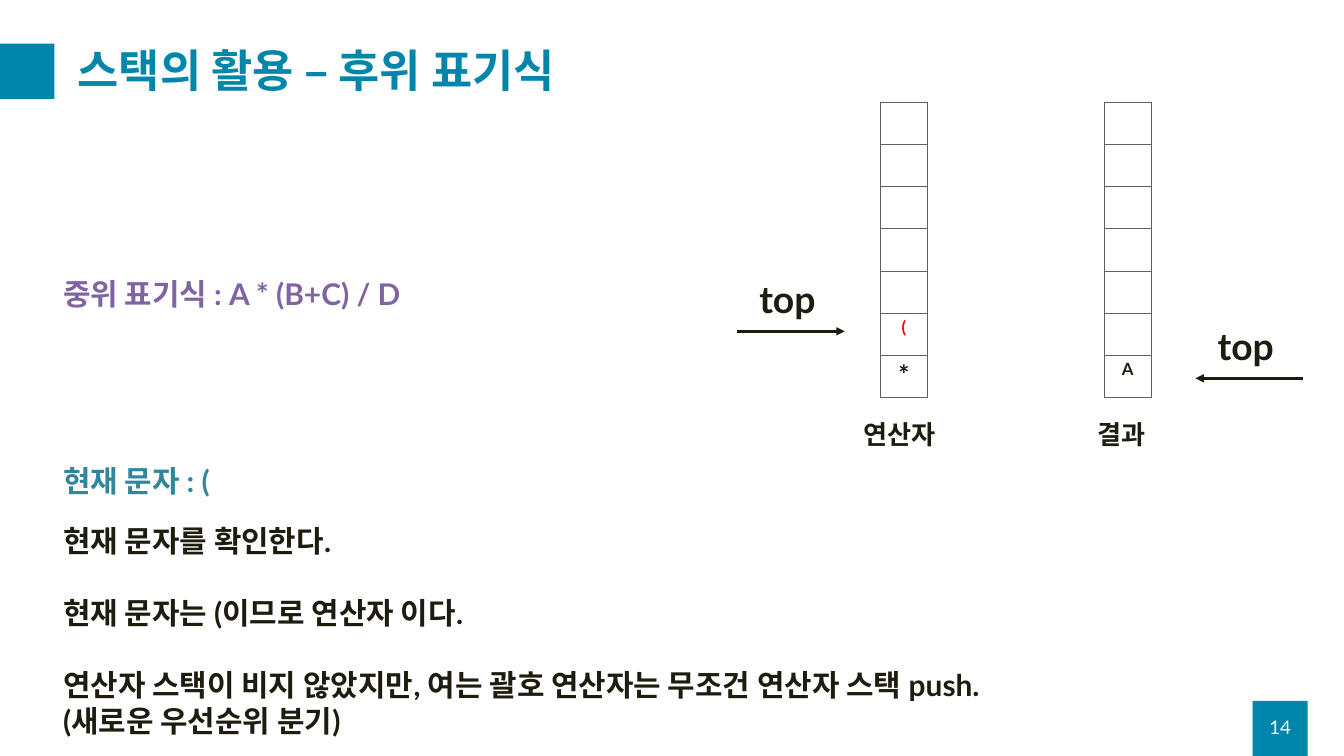
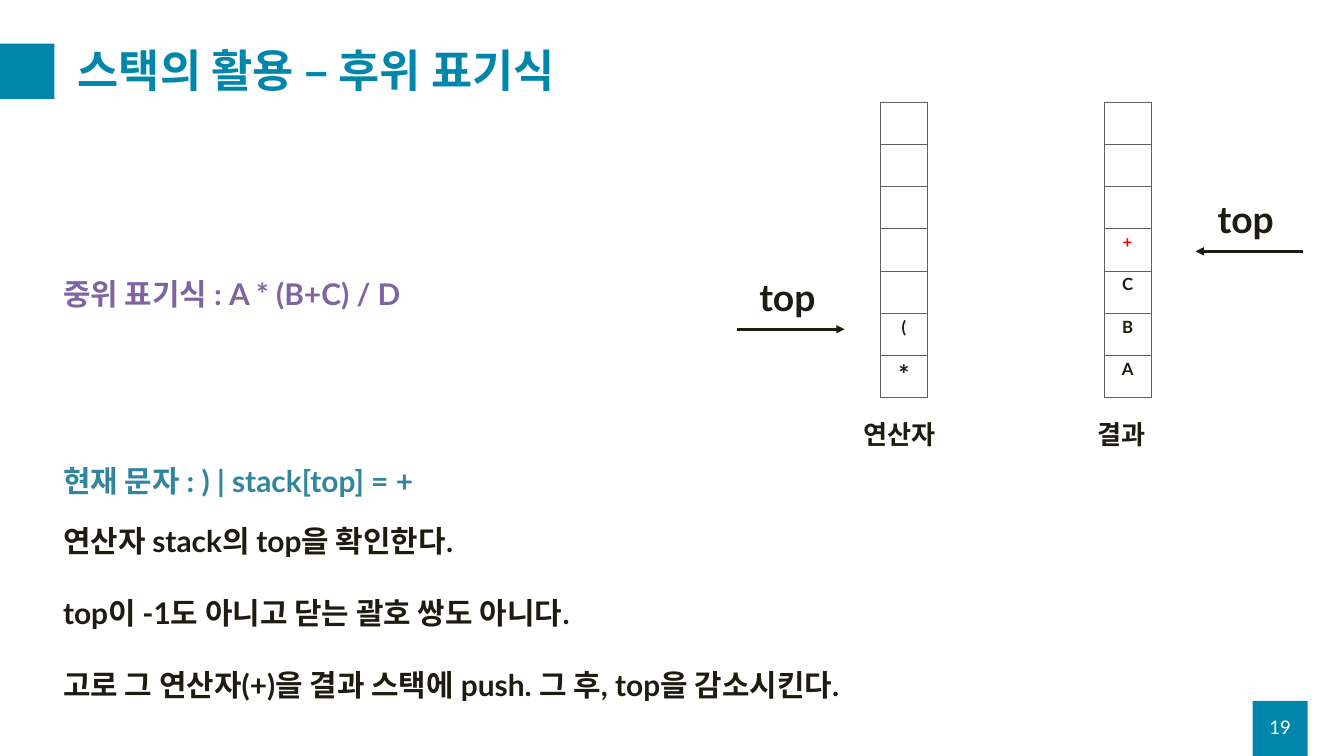
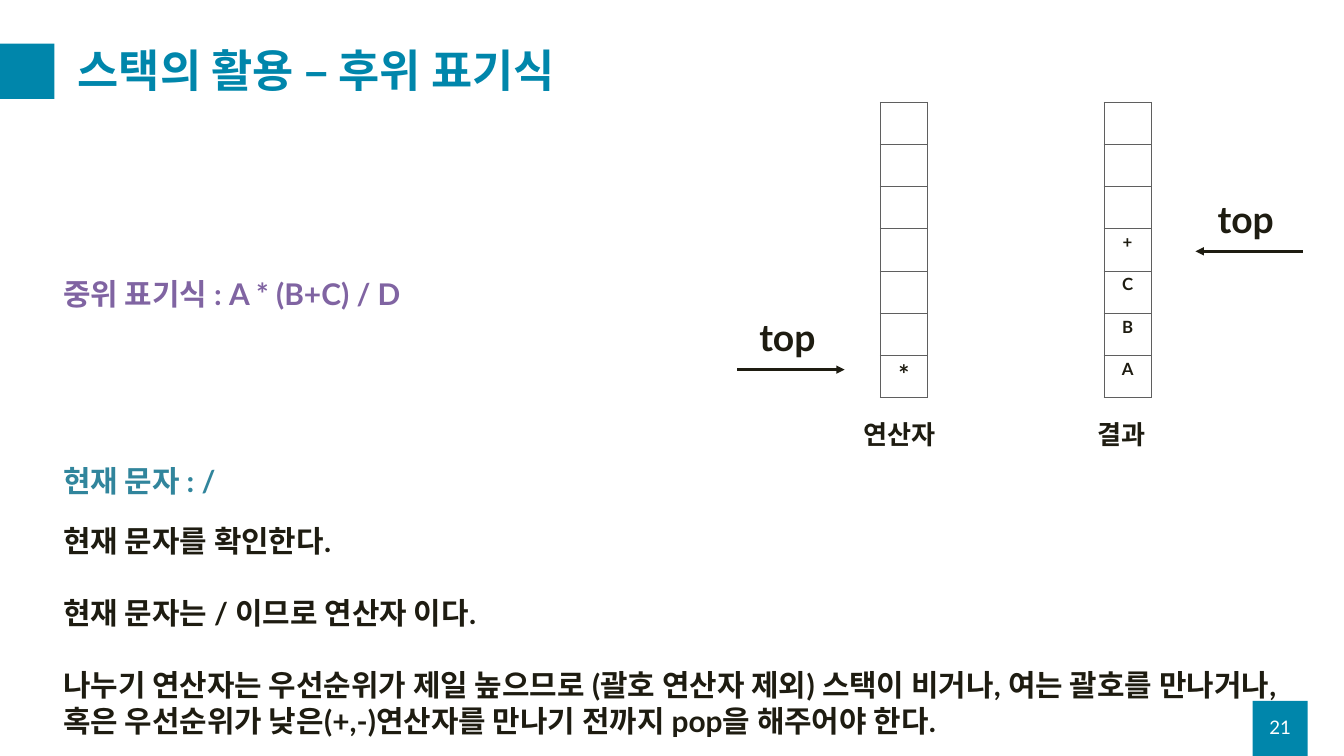
from dataclasses import dataclass
from typing import NamedTuple

import pptx
import pptx.dml.color
import pptx.enum.shapes
import pptx.enum.text
import pptx.oxml
import pptx.oxml.ns
import pptx.util

ALIGN = pptx.enum.text.PP_ALIGN
ANCHOR = pptx.enum.text.MSO_ANCHOR


@dataclass(frozen=True)
class Theme:
    font: str = "Lato"
    teal: str = "0086AB"
    white: str = "FFFFFF"
    ink: str = "1E1C11"
    red: str = "FF0000"
    plum: str = "8064A2"
    blue: str = "31859C"
    rule: str = "5F5F5F"
    title: float = 48
    top: float = 40
    body: float = 32
    name: float = 28
    star: float = 28
    item: float = 18
    page: float = 20
    gap: float = 38.5
    line: float = 3


class Box(NamedTuple):
    """Left, top, width and height in square grid units, 20 across the slide."""
    col: float
    row: float
    wide: float
    tall: float


class Place(NamedTuple):
    """Where a stack, its name and its pointer stand, in grid units."""
    name: str
    col: float
    label: Box
    arrow: float
    end: str


class Stack(NamedTuple):
    items: str
    row: float
    fresh: bool = False


class Step(NamedTuple):
    page: int
    char: str
    notes: tuple
    oper: Stack
    result: Stack


THEME = Theme()
COLS, ROWS = 20, 11.25
UNIT = pptx.util.Inches(1)
SLOTS = 7
CELL = Box(0, 1.52, 0.7, 4.4 / SLOTS)
SQUARE = 0.82
LEFT = 0.84
TOP_BOX = Box(0.23, -0.87, 1.71, 0.77)
REACH = 1.6

OPER = Place("연산자", 13.1, Box(12.75, 6.18, 1.71, 0.57), 10.97, "tailEnd")
RESULT = Place("결과", 16.43, Box(16.24, 6.18, 2.15, 0.57), 17.79, "headEnd")

STEPS = [
    Step(14, "(",
         ("현재 문자를 확인한다.",
          "현재 문자는 (이므로 연산자 이다.",
          ("연산자 스택이 비지 않았지만, 여는 괄호 연산자는 무조건 연산자 스택 push.",
           "(새로운 우선순위 분기)")),
         Stack("*(", 4.93, fresh=True), Stack("A", 5.63)),
    Step(19, ") | stack[top] = +",
         ("연산자 stack의 top을 확인한다.",
          "top이 -1도 아니고 닫는 괄호 쌍도 아니다.",
          "고로 그 연산자(+)을 결과 스택에 push. 그 후, top을 감소시킨다."),
         Stack("*(", 4.9), Stack("ABC+", 3.74, fresh=True)),
    Step(21, "/",
         ("현재 문자를 확인한다.",
          "현재 문자는 / 이므로 연산자 이다.",
          "나누기 연산자는 우선순위가 제일 높으므로 (괄호 연산자 제외) 스택이 비거나, "
          "여는 괄호를 만나거나, 혹은 우선순위가 낮은(+,-)연산자를 만나기 전까지 "
          "pop을 해주어야 한다."),
         Stack("*", 5.5), Stack("ABC+", 3.74)),
]


def scale(*spans: float) -> list[int]:
    return [round(span * UNIT) for span in spans]


def tint(code: str) -> pptx.dml.color.RGBColor:
    return pptx.dml.color.RGBColor.from_string(code)


def write(frame, *parts, size: float, color: str = THEME.ink, bold: bool = True,
          align=ALIGN.LEFT, anchor=ANCHOR.TOP, lead: float | None = None) -> None:
    """Fill a text frame; a part is one line or a tuple of lines kept together."""
    frame.word_wrap = True
    frame.vertical_anchor = anchor
    for i, part in enumerate(parts):
        for j, line in enumerate((part,) if isinstance(part, str) else part):
            para = frame.add_paragraph() if i or j else frame.paragraphs[0]
            para.alignment = align
            if lead:
                para.line_spacing = lead
            if i and not j:
                para.space_before = pptx.util.Pt(THEME.gap)
            run = para.add_run()
            run.text = line
            run.font.name = THEME.font
            run.font.size = pptx.util.Pt(size)
            run.font.bold = bold
            run.font.color.rgb = tint(color)


def label(slide, box: Box, *parts, **style) -> None:
    write(slide.shapes.add_textbox(*scale(*box)).text_frame, *parts, **style)


def square(slide, col: float, row: float) -> None:
    shape = slide.shapes.add_shape(pptx.enum.shapes.MSO_SHAPE.RECTANGLE,
                                   *scale(col, row, SQUARE, SQUARE))
    shape.shadow.inherit = False
    shape.fill.solid()
    shape.fill.fore_color.rgb = tint(THEME.teal)
    shape.line.fill.background()


def edge(cell) -> None:
    cell.fill.background()
    props = cell._tc.get_or_add_tcPr()
    for i, side in enumerate("LRTB"):
        props.insert(i, pptx.oxml.parse_xml(
            f'<a:ln{side} {pptx.oxml.ns.nsdecls("a")} w="12700"><a:solidFill>'
            f'<a:srgbClr val="{THEME.rule}"/></a:solidFill></a:ln{side}>'))


def arrow(slide, place: Place, row: float) -> None:
    line = slide.shapes.add_connector(
        pptx.enum.shapes.MSO_CONNECTOR.STRAIGHT,
        *scale(place.arrow, row, place.arrow + REACH, row))
    line.line.width = pptx.util.Pt(THEME.line)
    line.line.color.rgb = tint(THEME.ink)
    space = pptx.oxml.ns.nsdecls("a")
    line.line._get_or_add_ln().append(
        pptx.oxml.parse_xml(f'<a:{place.end} {space} type="triangle"/>'))
    line._element.spPr.append(pptx.oxml.parse_xml(f"<a:effectLst {space}/>"))


def pile(slide, place: Place, stack: Stack) -> None:
    """Draw a stack with its items from the bottom up, its name and its pointer."""
    table = slide.shapes.add_table(
        SLOTS, 1, *scale(place.col, CELL.row, CELL.wide, CELL.tall * SLOTS)).table
    table.first_row = table.horz_banding = False
    for i in range(SLOTS):
        table.rows[i].height = scale(CELL.tall)[0]
        edge(table.cell(i, 0))
    for i, item in enumerate(stack.items, 1):
        fresh = stack.fresh and i == len(stack.items)
        write(table.cell(SLOTS - i, 0).text_frame, item, align=ALIGN.CENTER,
              size=THEME.star if item == "*" else THEME.item,
              color=THEME.red if fresh else THEME.ink)
    label(slide, place.label, place.name, size=THEME.name)
    arrow(slide, place, stack.row)
    box = TOP_BOX._replace(col=place.arrow + TOP_BOX.col, row=stack.row + TOP_BOX.row)
    label(slide, box, "top", size=THEME.top)


def base(slide, page: int) -> None:
    """Draw the title, squares and page number."""
    square(slide, COLS - 1.36, ROWS - SQUARE)
    square(slide, -0.01, 0.65)
    label(slide, Box(1.06, 0.5, 18.25, 1.18), "스택의 활용 – 후위 표기식",
          size=THEME.title, color=THEME.teal, anchor=ANCHOR.MIDDLE, lead=0.9)
    label(slide, Box(COLS - 1.36, 10.52, SQUARE, 0.6), str(page), size=THEME.page,
          color=THEME.white, bold=False, align=ALIGN.CENTER, anchor=ANCHOR.MIDDLE)


def draw(slide, step: Step) -> None:
    base(slide, step.page)
    label(slide, Box(LEFT, 4.06, 5.8, 0.64), "중위 표기식 : A * (B+C) / D",
          size=THEME.body, color=THEME.plum)
    pile(slide, OPER, step.oper)
    pile(slide, RESULT, step.result)
    label(slide, Box(LEFT, 6.83, 5.8, 0.64), f"현재 문자 : {step.char}",
          size=THEME.body, color=THEME.blue)
    label(slide, Box(LEFT, 7.73, 18.54, 3.33), *step.notes, size=THEME.body)


def main() -> None:
    deck = pptx.Presentation()
    deck.slide_width, deck.slide_height = scale(COLS, ROWS)
    for step in STEPS:
        draw(deck.slides.add_slide(deck.slide_layouts[6]), step)
    deck.save("out.pptx")


if __name__ == "__main__":
    main()
